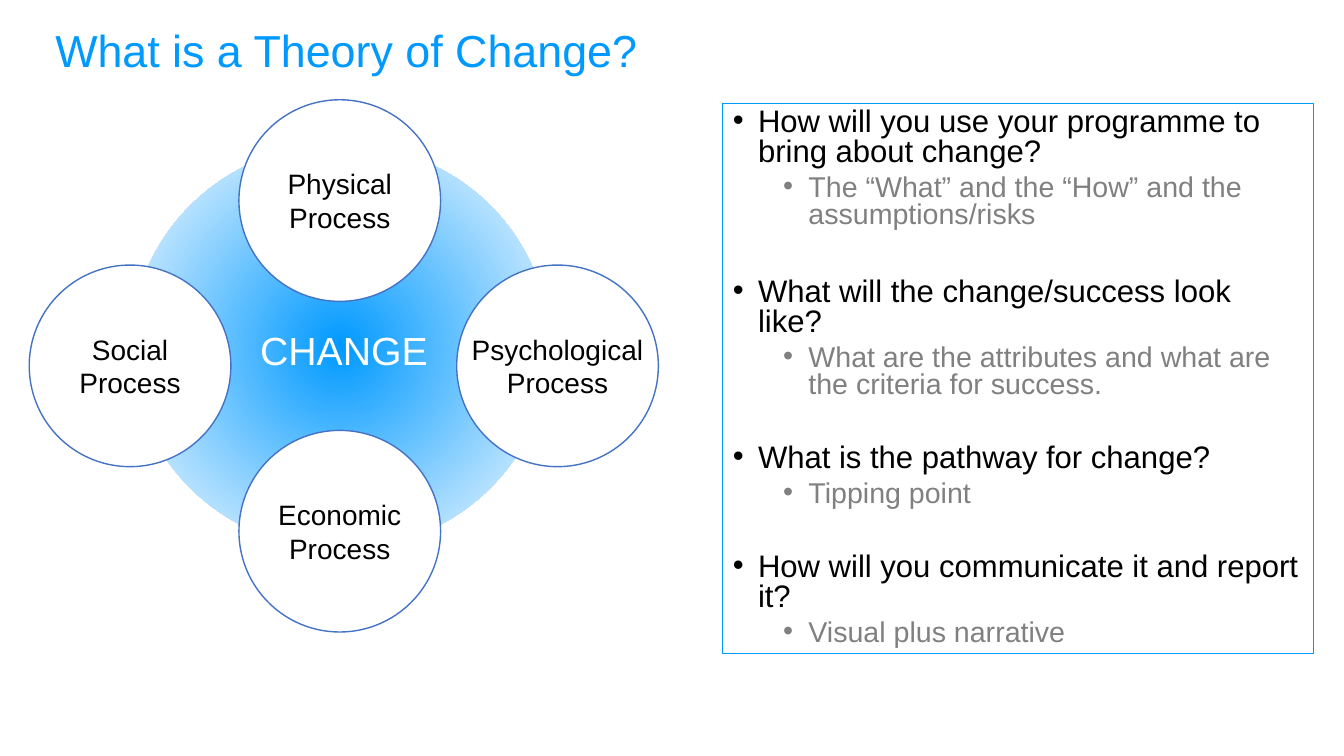
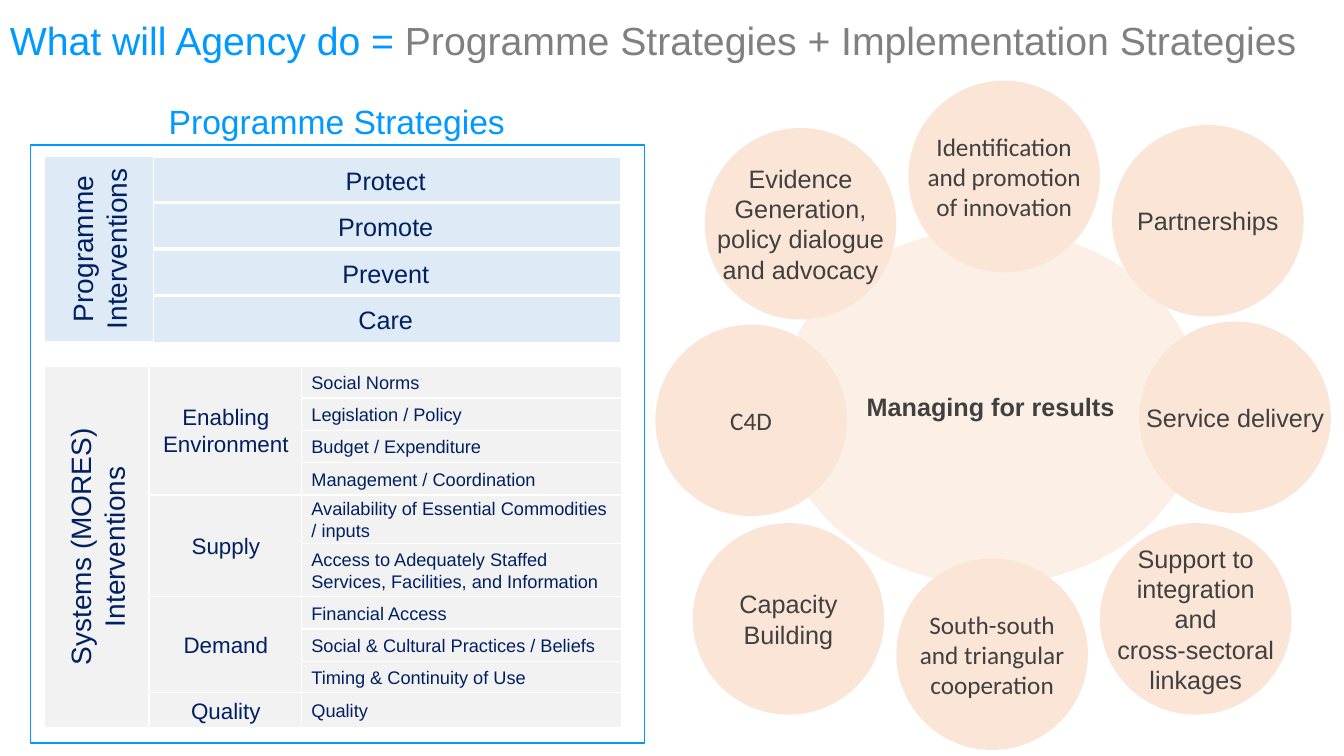
from dataclasses import dataclass, field

from lxml import etree
from pptx import Presentation
from pptx.dml.color import RGBColor
from pptx.enum.shapes import MSO_SHAPE
from pptx.enum.text import MSO_ANCHOR, PP_ALIGN
from pptx.oxml.ns import qn
from pptx.util import Inches, Pt

RECT, OVAL = MSO_SHAPE.RECTANGLE, MSO_SHAPE.OVAL
LEFT, CENTER = PP_ALIGN.LEFT, PP_ALIGN.CENTER
TOP, MIDDLE = MSO_ANCHOR.TOP, MSO_ANCHOR.MIDDLE


@dataclass(frozen=True)
class Theme:
    blue: str = "0099FF"
    outline: str = "4472C4"
    navy: str = "002060"
    black: str = "000000"
    dark: str = "404040"
    grey: str = "808080"
    white: str = "FFFFFF"
    pale_blue: str = "DEEBF7"
    pale_grey: str = "F2F2F2"
    peach: str = "FBE5D6"
    sans: str = "Arial"
    alt: str = "Calibri"
    title: float = 32
    long_title: float = 28
    heading: float = 24
    question: float = 22.2
    answer: float = 20.4
    label: float = 20
    body: float = 18
    group: float = 16
    item: float = 13


T = Theme()


@dataclass(frozen=True)
class Look:
    """Fill, outline and text format of a shape."""
    size: float = T.body
    color: str = T.black
    fill: str | None = None
    line: str | None = None
    weight: float = 1
    font: str = T.sans
    bold: bool = False
    align: PP_ALIGN = CENTER
    anchor: MSO_ANCHOR = MIDDLE
    wrap: bool = True
    inset: bool = True
    vert: str | None = None


@dataclass(frozen=True)
class Bubble:
    x: float
    y: float
    lines: list[str]
    font: str = T.sans


@dataclass(frozen=True)
class Question:
    text: str
    answer: str
    before: float = 0


@dataclass(frozen=True)
class SystemGroup:
    name: str
    items: list[tuple[str, float]] = field(default_factory=list)


PROCESSES = [
    Bubble(2.37, 0.99, ["Physical", "Process"]),
    Bubble(4.53, 2.63, ["Psychological", "Process"]),
    Bubble(2.37, 4.27, ["Economic", "Process"]),
    Bubble(0.29, 2.63, ["Social", "Process"]),
]
QUESTIONS = [
    Question("How will you use your programme to bring about change?",
             "The “What” and the “How” and the assumptions/risks"),
    Question("What will the change/success look like?",
             "What are the attributes and what are the criteria for success.", 34.4),
    Question("What is the pathway for change?", "Tipping point", 32),
    Question("How will you communicate it and report it?",
             "Visual plus narrative", 32),
]
INTERVENTIONS = ["Protect", "Promote", "Prevent", "Care"]
SYSTEMS = [
    SystemGroup("Enabling Environment", [
        ("Social Norms", 0.32), ("Legislation / Policy", 0.32),
        ("Budget / Expenditure", 0.32), ("Management / Coordination", 0.32)]),
    SystemGroup("Supply", [
        ("Availability of Essential Commodities\n/ inputs", 0.48),
        ("Access to Adequately Staffed Services, Facilities, and Information", 0.53)]),
    SystemGroup("Demand", [
        ("Financial Access", 0.32), ("Social & Cultural Practices / Beliefs", 0.32),
        ("Timing & Continuity of Use", 0.31)]),
    SystemGroup("Quality", [("Quality", 0.35)]),
]
STRATEGIES = [
    Bubble(6.99, 1.27, ["Evidence", "Generation,", "policy dialogue", "and advocacy"]),
    Bubble(11.03, 1.24, ["Partnerships"]),
    Bubble(6.5, 3.22, ["C4D"], T.alt),
    Bubble(9.01, 0.8, ["Identification", "and promotion", "of innovation"], T.alt),
    Bubble(8.89, 5.54, ["South-south", "and triangular", "cooperation"], T.alt),
    Bubble(10.91, 5.19, ["Support to", "integration", "and", "cross-sectoral", "linkages"]),
    Bubble(11.3, 3.19, ["Service delivery"]),
    Bubble(6.87, 5.19, ["Capacity", "Building"]),
]


def rgb(color: str) -> RGBColor:
    return RGBColor.from_string(color)


def add_run(p, text: str, size: float, color: str, font: str = T.sans,
            bold: bool = False) -> None:
    r = p.add_run()
    r.text = text
    for name, value in {"size": Pt(size), "name": font, "bold": bold}.items():
        setattr(r.font, name, value)
    r.font.color.rgb = rgb(color)


def set_frame(tf, look: Look) -> None:
    for name, value in {"word_wrap": look.wrap, "vertical_anchor": look.anchor}.items():
        setattr(tf, name, value)
    if not look.inset:
        for side in ("left", "right", "top", "bottom"):
            setattr(tf, f"margin_{side}", 0)
    if look.vert:
        tf._txBody.bodyPr.set("vert", look.vert)


def write_lines(tf, lines: list[str], look: Look) -> None:
    set_frame(tf, look)
    for i, line in enumerate(lines):
        p = tf.add_paragraph() if i else tf.paragraphs[0]
        p.alignment = look.align
        add_run(p, line, look.size, look.color, look.font, look.bold)


def add_shape(s, kind, x: float, y: float, w: float, h: float, look: Look,
              lines: list[str] | None = None):
    sp = s.shapes.add_shape(kind, Inches(x), Inches(y), Inches(w), Inches(h))
    sp.shadow.inherit = False
    if look.fill:
        sp.fill.solid()
        sp.fill.fore_color.rgb = rgb(look.fill)
    else:
        sp.fill.background()
    if look.line:
        sp.line.color.rgb = rgb(look.line)
        sp.line.width = Pt(look.weight)
    else:
        sp.line.fill.background()
    if lines:
        write_lines(sp.text_frame, lines, look)
    return sp


def add_text(s, x: float, y: float, w: float, h: float):
    return s.shapes.add_textbox(Inches(x), Inches(y), Inches(w), Inches(h)).text_frame


def add_title(s, x: float, y: float, w: float, h: float, size: float,
              parts: list[tuple[str, str]]) -> None:
    tf = add_text(s, x, y, w, h)
    set_frame(tf, Look())
    p = tf.paragraphs[0]
    p.line_spacing = 0.9
    for text, color in parts:
        add_run(p, text, size, color)


def add_bullet(p, indent: float) -> None:
    pPr = p._p.get_or_add_pPr()
    pPr.set("marL", str(Inches(indent)))
    pPr.set("indent", str(Inches(-0.25)))
    etree.SubElement(pPr, qn("a:buFont")).set("typeface", T.sans)
    etree.SubElement(pPr, qn("a:buChar")).set("char", "•")


def set_radial_fill(sp, inner: str, outer: str) -> None:
    sp.fill.gradient()
    for stop, color, position in zip(sp.fill.gradient_stops, (inner, outer), (0, 1)):
        stop.color.rgb = rgb(color)
        stop.position = position
    grad = sp._element.spPr.find(qn("a:gradFill"))
    grad.remove(grad.find(qn("a:lin")))
    radial = etree.SubElement(grad, qn("a:path"))
    radial.set("path", "circle")
    center = etree.SubElement(radial, qn("a:fillToRect"))
    for side in "ltrb":
        center.set(side, "50000")


def set_opacity(sp, percent: int) -> None:
    color = sp._element.spPr.find(qn("a:solidFill"))[0]
    etree.SubElement(color, qn("a:alpha")).set("val", str(percent * 1000))


def add_questions(s) -> None:
    box = add_shape(s, RECT, 7.17, 1.03, 5.86, 5.45, Look(line=T.blue, weight=0.75))
    tf = box.text_frame
    set_frame(tf, Look(anchor=TOP))
    for i, q in enumerate(QUESTIONS):
        rows = [(q.text, T.question, T.black, 0, q.before),
                (q.answer, T.answer, T.grey, 1, 5)]
        for text, size, color, level, before in rows:
            p = tf.add_paragraph() if i or level else tf.paragraphs[0]
            formats = {"level": level, "alignment": LEFT, "line_spacing": 0.8,
                       "space_before": Pt(before)}
            for name, value in formats.items():
                setattr(p, name, value)
            add_bullet(p, 0.25 + 0.5 * level)
            add_run(p, text, size, color)


def build_theory(s) -> None:
    hub = add_shape(s, OVAL, 1.3, 1.43, 4.15, 4.02, Look())
    set_radial_fill(hub, T.blue, T.white)
    add_title(s, 0.45, -0.05, 11.5, 1.15, T.title,
              [("What is a Theory of Change?", T.blue)])
    add_questions(s)
    look = Look(T.label, fill=T.white, line=T.outline, wrap=False)
    for b in PROCESSES:
        add_shape(s, OVAL, b.x, b.y, 2, 2, look, b.lines)
    write_lines(add_text(s, 2.25, 3.19, 2.32, 0.57), ["CHANGE"],
                Look(T.long_title, T.white, anchor=TOP))


def add_interventions(s) -> None:
    row = Look(T.body, T.navy, T.pale_blue, T.white, 2.25)
    for i, name in enumerate(INTERVENTIONS):
        add_shape(s, RECT, 1.48, 1.55 + 0.46 * i, 4.69, 0.48, row, [name])
    add_shape(s, RECT, 0.44, 1.55, 1.08, 1.84,
              Look(T.label, T.navy, T.pale_blue, T.white, vert="vert270"),
              ["Programme", "Interventions"])


def add_systems(s) -> None:
    cell = {"color": T.navy, "fill": T.pale_grey, "line": T.white}
    group_look = Look(T.group, **cell)
    item_look = Look(T.item, align=LEFT, **cell)
    add_shape(s, RECT, 0.44, 3.63, 1.04, 3.59, Look(T.label, vert="vert270", **cell),
              ["Systems (MORES)", "Interventions"])
    y = 3.63
    for group in SYSTEMS:
        height = sum(h for _, h in group.items)
        add_shape(s, RECT, 1.48, y, 1.52, height, group_look, [group.name])
        for name, h in group.items:
            add_shape(s, RECT, 2.99, y, 3.18, h, item_look, name.split("\n"))
            y += h


def build_strategies(s) -> None:
    bubble = {"color": T.dark, "fill": T.peach, "wrap": False, "inset": False}
    hub = add_shape(s, OVAL, 7.73, 2.27, 4.19, 3.53, Look(bold=True, **bubble),
                    ["Managing for results"])
    set_opacity(hub, 61)
    add_title(s, 0, 0, 13.33, 0.84, T.long_title,
              [("What will Agency do = ", T.blue),
               ("Programme Strategies + Implementation Strategies", T.grey)])
    # Framed panel with its heading
    add_shape(s, RECT, 0.3, 1.44, 6.09, 5.93, Look(line=T.blue))
    write_lines(add_text(s, 0.93, 0.95, 4.82, 0.5), ["Programme Strategies"],
                Look(T.heading, T.blue, anchor=TOP))
    add_interventions(s)
    add_systems(s)
    # Ring of implementation strategies
    for b in STRATEGIES:
        add_shape(s, OVAL, b.x, b.y, 1.9, 1.9, Look(font=b.font, **bubble), b.lines)


def main() -> None:
    prs = Presentation()
    prs.slide_width, prs.slide_height = Inches(13.33), Inches(7.5)
    for build in (build_theory, build_strategies):
        build(prs.slides.add_slide(prs.slide_layouts[6]))
    prs.save("out.pptx")


if __name__ == "__main__":
    main()
